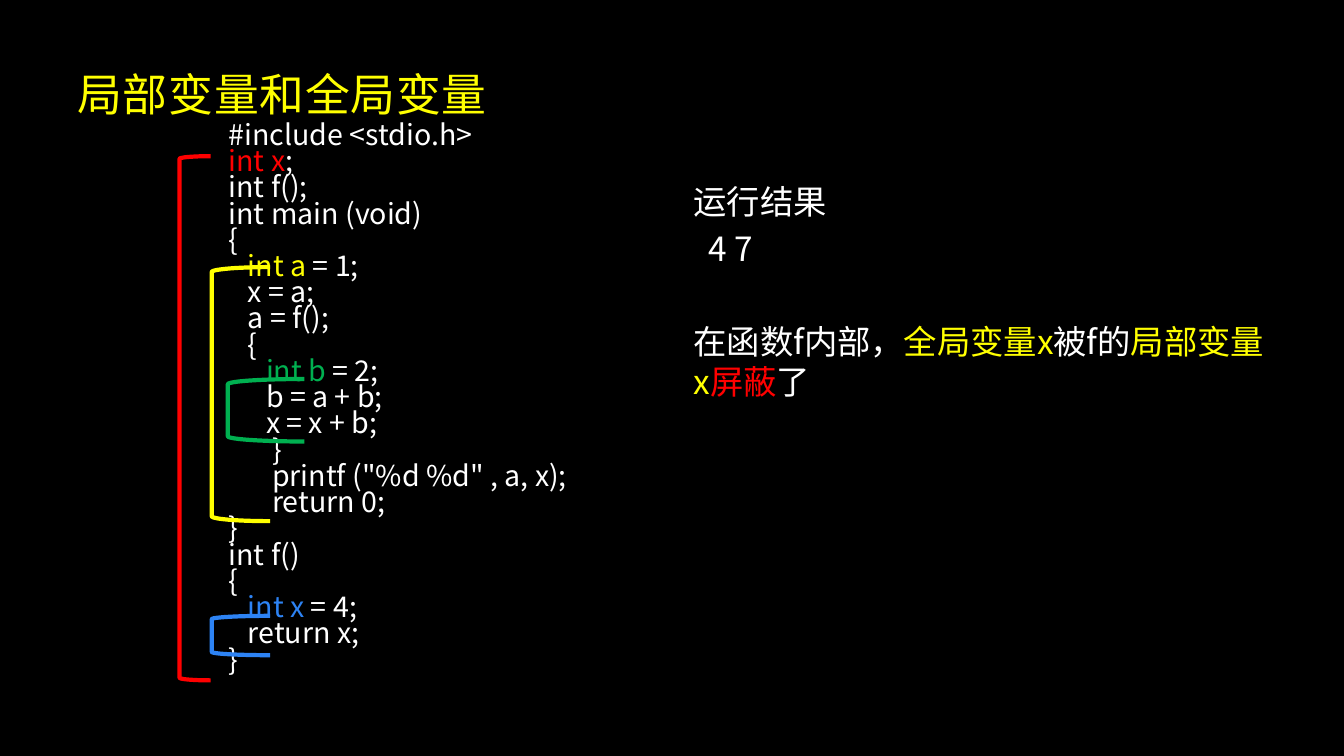
from lxml.etree import SubElement
from pptx import Presentation
from pptx.dml.color import RGBColor
from pptx.enum.shapes import MSO_SHAPE
from pptx.enum.text import MSO_ANCHOR
from pptx.oxml.ns import qn
from pptx.util import Inches, Pt

WHITE, YELLOW, RED, GREEN, BLUE = "FFFFFF", "FFFF00", "FF0000", "00B050", "2D83F4"


def color(hex_string):
    return RGBColor.from_string(hex_string)


class SlideBuilder:
    """Holds the style and the current slide."""

    east_asian_font = "Noto Sans CJK SC"
    bracket_width = Pt(3)

    def __init__(self, presentation, background):
        self.slide = presentation.slides.add_slide(presentation.slide_layouts[6])
        fill = self.slide.background.fill
        fill.solid()
        fill.fore_color.rgb = color(background)

    def text(self, box, paragraphs, size, font=east_asian_font, spacing=0,
             anchor=MSO_ANCHOR.TOP):
        """Each paragraph is (format values, indent in inches, [(text, color), ...])."""
        shape = self.slide.shapes.add_textbox(*map(Inches, box))
        frame = shape.text_frame
        frame.word_wrap = True
        frame.vertical_anchor = anchor
        for index, (values, indent, runs) in enumerate(paragraphs):
            paragraph = frame.add_paragraph() if index else frame.paragraphs[0]
            for name, value in values.items():
                setattr(paragraph, name, value)
            paragraph._p.get_or_add_pPr().set("marL", str(Inches(indent)))
            for words, hex_string in runs:
                self.run(paragraph, words, hex_string, size, font, spacing)

    def run(self, paragraph, words, hex_string, size, font, spacing):
        run = paragraph.add_run()
        run.text = words
        for name, value in {"size": Pt(size), "name": font}.items():
            setattr(run.font, name, value)
        run.font.color.rgb = color(hex_string)
        properties = run._r.get_or_add_rPr()
        properties.set("spc", str(int(spacing * 100)))
        SubElement(properties, qn("a:ea")).set("typeface", self.east_asian_font)

    def bracket(self, box, hex_string):
        shape = self.slide.shapes.add_shape(MSO_SHAPE.LEFT_BRACKET, *map(Inches, box))
        shape.shadow.inherit = False
        shape.fill.background()
        shape.line.color.rgb = color(hex_string)
        shape.line.width = self.bracket_width


presentation = Presentation()
presentation.slide_width = Inches(13.33)
presentation.slide_height = Inches(7.5)
builder = SlideBuilder(presentation, "000000")

# Title
builder.text((0.67, 0.3, 11.34, 1.25), [({}, 0, [("局部变量和全局变量", YELLOW)])],
             32, font="Lato", spacing=0.5, anchor=MSO_ANCHOR.MIDDLE)

# Program: indent, then the runs of each line
OUTER, BLOCK, INNER, TAB = 0, 0.19, 0.37, 0.43
program = [
    (OUTER, [("#include <stdio.h>", WHITE)]),
    (OUTER, [("int x", RED), (";", WHITE)]),
    (OUTER, [("int f();", WHITE)]),
    (OUTER, [("int main (void)", WHITE)]),
    (OUTER, [("{", WHITE)]),
    (BLOCK, [("int a", YELLOW), (" = 1;", WHITE)]),
    (BLOCK, [("x = a;", WHITE)]),
    (BLOCK, [("a = f();", WHITE)]),
    (BLOCK, [("{", WHITE)]),
    (INNER, [("int b", GREEN), (" = 2;", WHITE)]),
    (INNER, [("b = a + b;", WHITE)]),
    (INNER, [("x = x + b;", WHITE)]),
    (TAB, [("}", WHITE)]),
    (TAB, [('printf ("%d %d" , a, x);', WHITE)]),
    (TAB, [("return 0;", WHITE)]),
    (OUTER, [("}", WHITE)]),
    (OUTER, [("int f()", WHITE)]),
    (OUTER, [("{", WHITE)]),
    (BLOCK, [("int x", BLUE), (" = 4;", WHITE)]),
    (BLOCK, [("return x;", WHITE)]),
    (OUTER, [("}", WHITE)]),
]
code_format = {"line_spacing": 0.6, "space_before": Pt(4.05)}
builder.text((2.17, 1.23, 4.42, 6.14),
             [(code_format, indent, runs) for indent, runs in program], 20.4)

# Output and explanation
result_format = {"line_spacing": 1.0, "space_before": Pt(4.8)}
explanation_format = {**result_format, "space_before": Pt(38.2)}
explanation = [("在函数f内部，", WHITE), ("全局变量x", YELLOW), ("被f的", WHITE),
               ("局部变量x", YELLOW), ("屏蔽", RED), ("了", WHITE)]
builder.text((6.78, 1.75, 5.89, 4.95), [
    (result_format, 0, [("运行结果", WHITE)]),
    (result_format, 0.15, [("4 7", WHITE)]),
    (explanation_format, 0, explanation),
], 23.8)

# Scope brackets, coloured like the variable they belong to
for box, scope_color in [
    ((1.78, 1.55, 0.31, 5.2), RED),
    ((2.1, 2.65, 0.58, 2.52), YELLOW),
    ((2.26, 3.76, 0.76, 0.62), GREEN),
    ((2.1, 6.11, 0.58, 0.39), BLUE),
]:
    builder.bracket(box, scope_color)

presentation.save("out.pptx")
